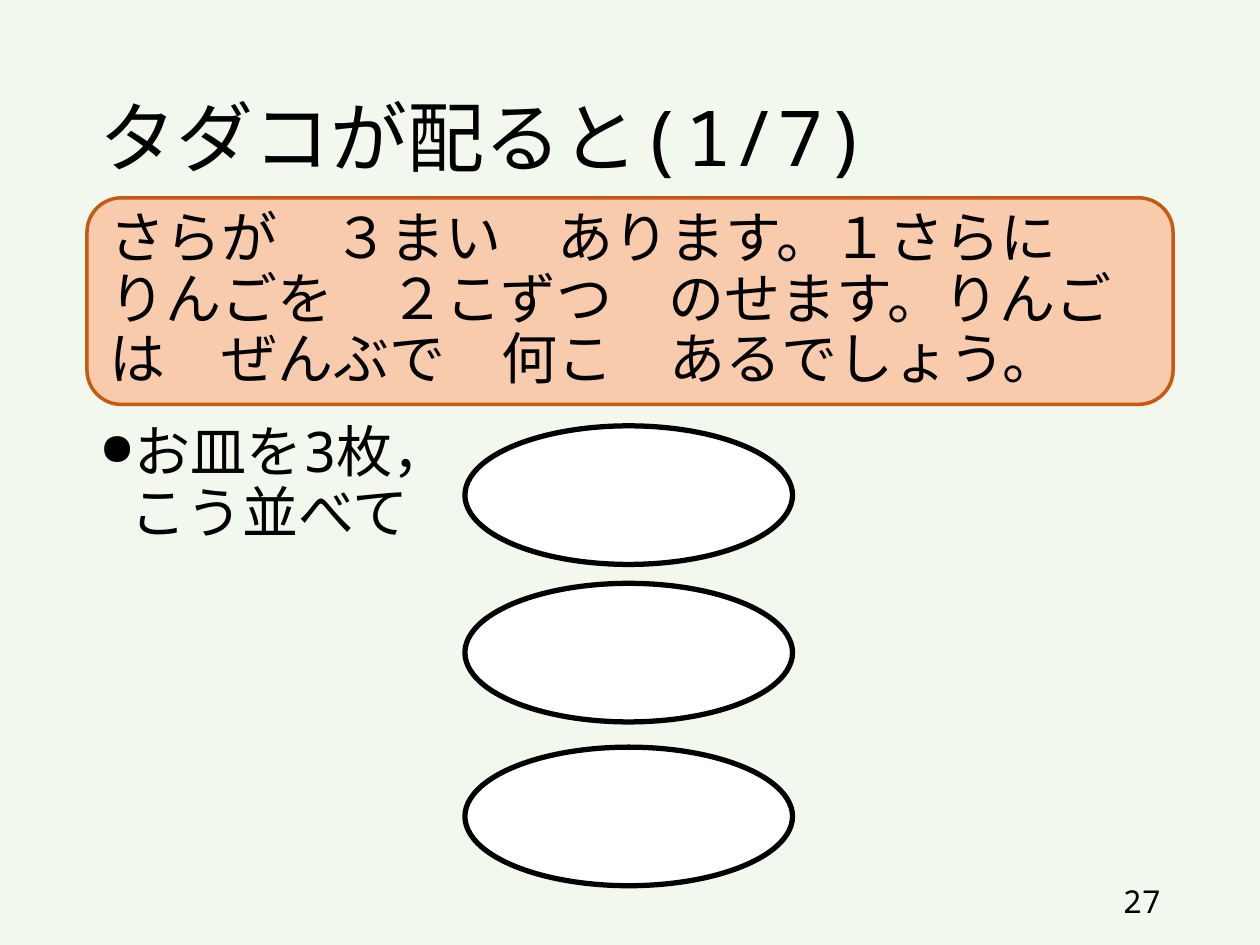
from lxml import etree
from pptx import Presentation
from pptx import util as u
from pptx.dml.color import RGBColor
from pptx.enum import lang, shapes, text
from pptx.oxml.ns import qn

BACKGROUND = RGBColor(0xF2, 0xF8, 0xEE)
BLACK = RGBColor(0, 0, 0)
WHITE = RGBColor(0xFF, 0xFF, 0xFF)
PEACH = RGBColor(0xF8, 0xCB, 0xAD)
ORANGE = RGBColor(0xC5, 0x5A, 0x11)

LEFT, WIDTH = 0.69, 8.62


class SlideBuilder:
    font = "Noto Sans Mono"

    def __init__(self, s):
        self.s = s
        s.background.fill.solid()
        s.background.fill.fore_color.rgb = BACKGROUND

    def set_text(self, sp, words, size, anchor=text.MSO_ANCHOR.MIDDLE,
                 align=text.PP_ALIGN.LEFT, spacing=0.9, before=0):
        tf = sp.text_frame
        tf.word_wrap = True
        tf.vertical_anchor = anchor
        p = tf.paragraphs[0]
        p.text = words
        p.alignment = align
        p.line_spacing = spacing
        p.space_before = u.Pt(before)
        for r in p.runs:
            r.font.name = self.font
            r.font.size = u.Pt(size)
            r.font.color.rgb = BLACK
            r.font.language_id = lang.MSO_LANGUAGE_ID.JAPANESE
            ea = etree.Element(qn("a:ea"), typeface=self.font)
            r._r.rPr.find(qn("a:latin")).addnext(ea)
        return p

    def textbox(self, box, words, size, **style):
        sp = self.s.shapes.add_textbox(*map(u.Inches, box))
        return self.set_text(sp, words, size, **style)

    def bullet(self, box, words, size, **style):
        p = self.textbox(box, words, size, **style)
        pPr = p._p.get_or_add_pPr()
        indent = u.Inches(0.25)
        pPr.set("marL", str(indent))
        pPr.set("indent", str(-indent))
        etree.SubElement(pPr, qn("a:buSzPct"), val="80000")
        etree.SubElement(pPr, qn("a:buChar"), char="●")

    def shape(self, kind, box, fill, line, width):
        sp = self.s.shapes.add_shape(kind, *map(u.Inches, box))
        sp.shadow.inherit = False
        sp.fill.solid()
        sp.fill.fore_color.rgb = fill
        sp.line.color.rgb = line
        sp.line.width = u.Pt(width)
        return sp


def main():
    prs = Presentation()
    prs.slide_width, prs.slide_height = u.Inches(10), u.Inches(7.5)
    b = SlideBuilder(prs.slides.add_slide(prs.slide_layouts[6]))

    # Title and page number
    b.textbox((LEFT, 0.4, WIDTH, 1.45), "タダコが配ると(1/7)", 44)
    b.textbox((7.06, 6.95, 2.25, 0.4), "27", 18,
              align=text.PP_ALIGN.RIGHT, spacing=1.0)

    # Word problem
    problem = b.shape(shapes.MSO_SHAPE.ROUNDED_RECTANGLE,
                      (LEFT, 1.57, WIDTH, 1.64), PEACH, ORANGE, 2)
    b.set_text(problem, "さらが　３まい　あります。１さらに　りんごを　２こずつ　"
               "のせます。りんごは　ぜんぶで　何こ　あるでしょう。", 32, before=10)

    # Three plates
    for top in (5.93, 4.63, 3.38):
        b.shape(shapes.MSO_SHAPE.OVAL, (3.69, top, 2.6, 1.1), WHITE, BLACK, 3)

    # Explanation
    b.bullet((LEFT, 3.32, WIDTH, 3.43), "お皿を3枚，\vこう並べて", 32,
             anchor=text.MSO_ANCHOR.TOP, before=10)

    prs.save("out.pptx")


if __name__ == "__main__":
    main()
